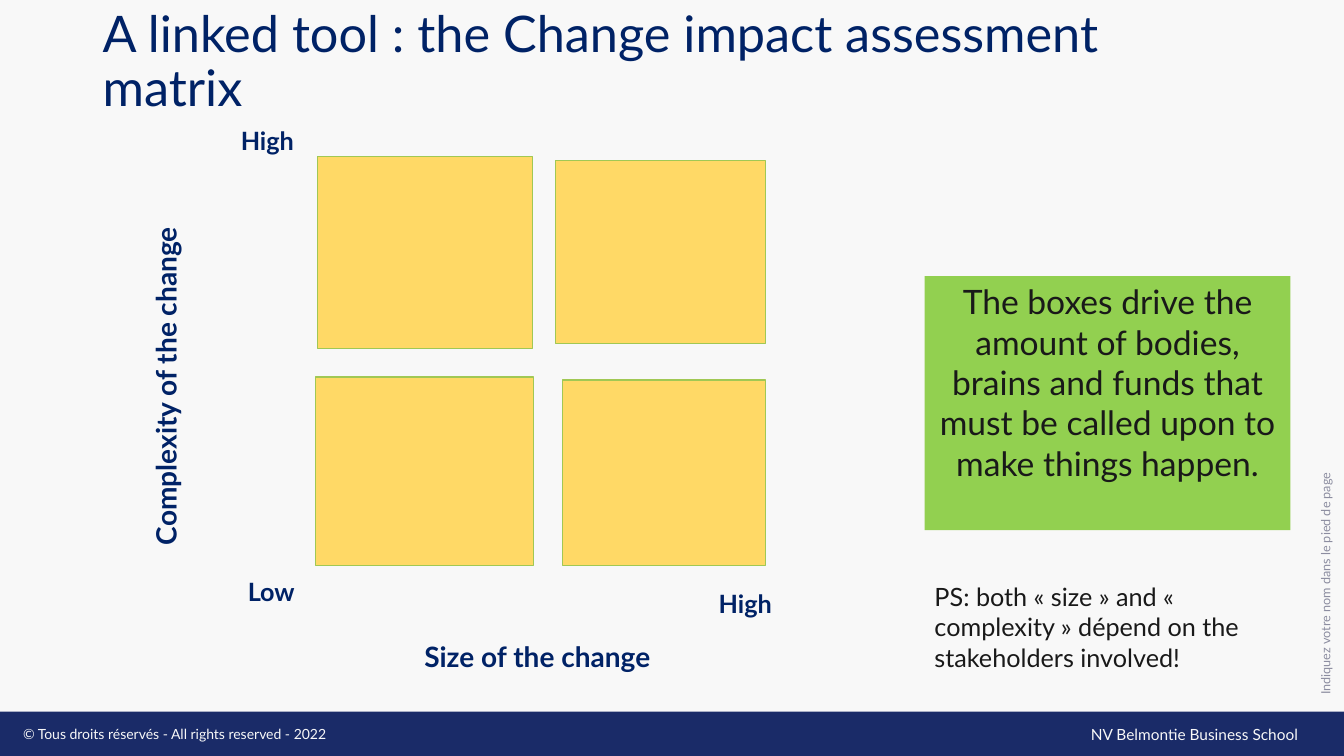
from dataclasses import dataclass

from pptx import Presentation
from pptx.dml.color import RGBColor
from pptx.enum.shapes import MSO_SHAPE
from pptx.enum.text import MSO_ANCHOR, MSO_AUTO_SIZE, PP_ALIGN
from pptx.util import Inches, Pt

RECTANGLE = MSO_SHAPE.RECTANGLE
TOP, MIDDLE = MSO_ANCHOR.TOP, MSO_ANCHOR.MIDDLE
LEFT, CENTER = PP_ALIGN.LEFT, PP_ALIGN.CENTER
NO_FIT = MSO_AUTO_SIZE.NONE


@dataclass(frozen=True)
class Theme:
    font: str = "Lato"
    paper: str = "F8F8F8"
    band: str = "1A2B68"
    navy: str = "002266"
    ink: str = "191919"
    muted: str = "8C8DA0"
    green: str = "92D050"
    yellow: str = "FFD966"
    outline: str = "A1C854"
    title_size: int = 36
    message_size: int = 24
    axis_size: int = 20
    body_size: int = 18
    school_size: int = 11
    rights_size: int = 10
    side_size: int = 9


def write(shape, text, *, size, color, font, bold=False, align=LEFT,
          anchor=TOP, spacing=None):
    frame = shape.text_frame
    frame.word_wrap = True
    frame.auto_size = NO_FIT
    frame.vertical_anchor = anchor
    paragraph = frame.paragraphs[0]
    paragraph.alignment = align
    paragraph.line_spacing = spacing
    run = paragraph.add_run()
    run.text = text
    run.font.name = font
    run.font.size = Pt(size)
    run.font.bold = bold
    run.font.color.rgb = RGBColor.from_string(color)


class SlideBuilder:
    def __init__(self, slide, theme):
        self.slide = slide
        self.theme = theme

    def background(self, color):
        fill = self.slide.background.fill
        fill.solid()
        fill.fore_color.rgb = RGBColor.from_string(color)

    def box(self, area, color, outline=None):
        shape = self.slide.shapes.add_shape(RECTANGLE, *map(Inches, area))
        shape.shadow.inherit = False
        shape.fill.solid()
        shape.fill.fore_color.rgb = RGBColor.from_string(color)
        if outline:
            shape.line.color.rgb = RGBColor.from_string(outline)
            shape.line.width = Pt(1)
        else:
            shape.line.fill.background()
        return shape

    def label(self, area, text, **style):
        shape = self.slide.shapes.add_textbox(*map(Inches, area))
        write(shape, text, font=self.theme.font, **style)
        return shape


def main():
    theme = Theme()
    deck = Presentation()
    deck.slide_width, deck.slide_height = Inches(13.33), Inches(7.5)
    page = SlideBuilder(deck.slides.add_slide(deck.slide_layouts[6]), theme)
    page.background(theme.paper)

    page.box((0, 7.06, 13.33, 0.44), theme.band)
    page.label((10.72, 7.14, 2.45, 0.29), "NV Belmontie Business School",
               size=theme.school_size, color=theme.paper)
    page.label((0.13, 7.15, 4.42, 0.27),
               "© Tous droits réservés - All rights reserved - 2022",
               size=theme.rights_size, color=theme.paper)
    page.label((0.92, 0.27, 11.5, 0.71),
               "A linked tool : the Change impact assessment matrix",
               size=theme.title_size, color=theme.navy, anchor=MIDDLE, spacing=0.9)
    side_note = page.label((13.03, 0.49, 0.23, 6.5),
                           "Indiquez votre nom dans le pied de page",
                           size=theme.side_size, color=theme.muted, anchor=MIDDLE)
    side_note.element.txBody.bodyPr.set("vert", "vert270")

    axis_style = {"size": theme.axis_size, "color": theme.navy, "bold": True}
    complexity_axis = page.label((-0.21, 3.43, 3.71, 0.44),
                                 "Complexity of the change", **axis_style)
    complexity_axis.rotation = 270
    page.label((4.11, 6.3, 2.7, 0.44), "Size of the change", **axis_style)
    for left, top, level in ((2.36, 5.67, "Low"), (2.29, 1.19, "High"),
                             (7.03, 5.79, "High")):
        page.label((left, top, 0.83, 0.4), level, size=theme.body_size,
                   color=theme.navy, bold=True)

    message = page.box((9.17, 2.74, 3.63, 2.52), theme.green)
    write(message, "The boxes drive the amount of bodies, brains and funds "
          "that must be called upon to make things happen.",
          size=theme.message_size, color=theme.ink, font=theme.font, align=CENTER)
    page.label((9.17, 5.72, 3.63, 1.01),
               "PS: both « size » and « complexity » dépend on the "
               "stakeholders involved!",
               size=theme.body_size, color=theme.ink)

    # The four quadrants differ slightly in size and alignment.
    for quadrant in ((3.15, 1.55, 2.13, 1.91), (5.58, 3.77, 2.01, 1.84),
                     (5.51, 1.59, 2.08, 1.82), (3.13, 3.74, 2.16, 1.87)):
        page.box(quadrant, theme.yellow, theme.outline)

    deck.save("out.pptx")


if __name__ == "__main__":
    main()
